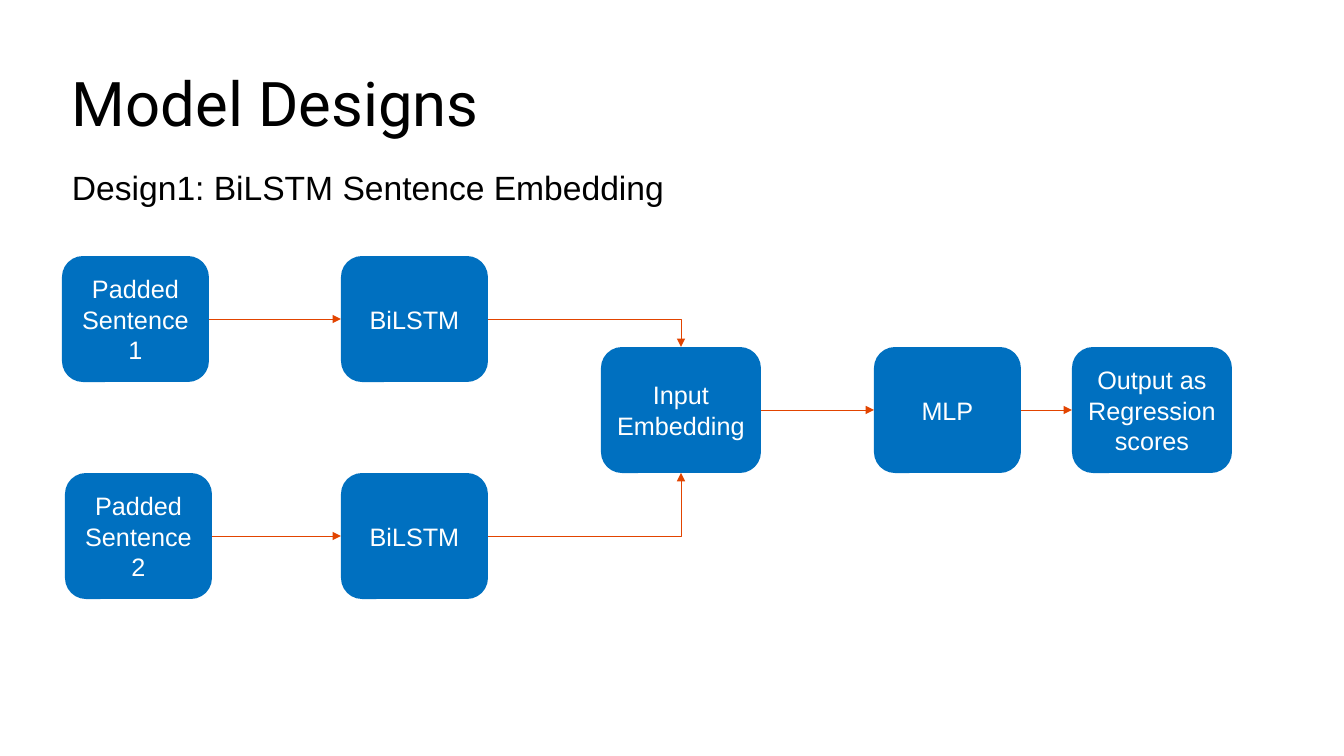
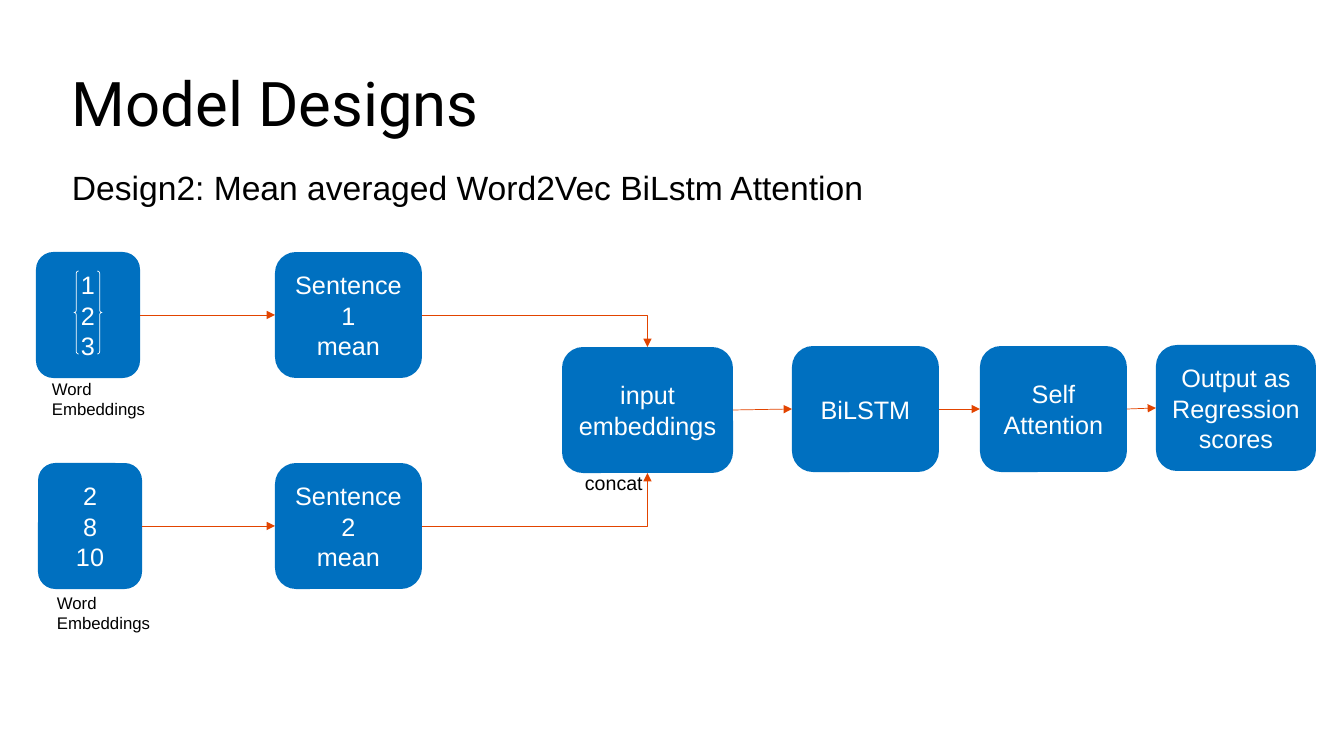
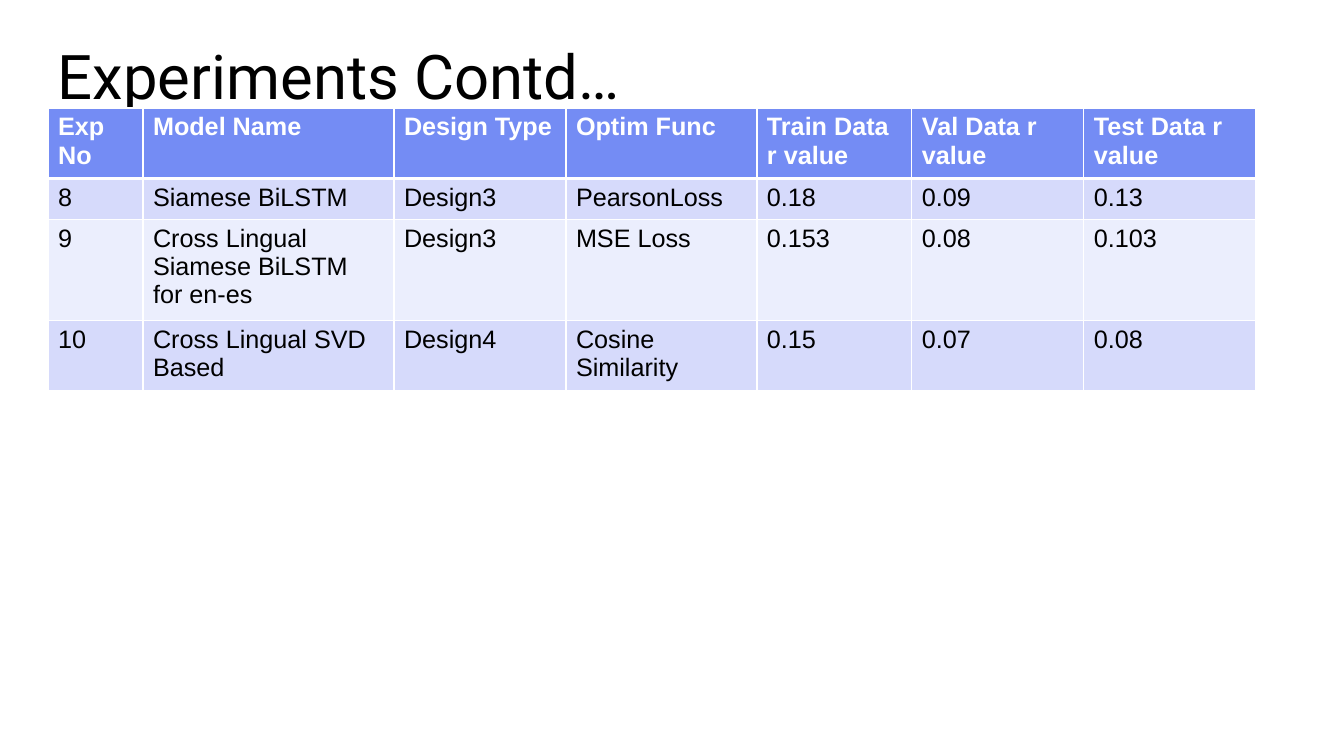
from lxml import etree
from pptx import Presentation
from pptx.dml.color import RGBColor
from pptx.enum.shapes import MSO_CONNECTOR, MSO_SHAPE
from pptx.enum.text import MSO_ANCHOR, PP_ALIGN
from pptx.oxml.ns import qn
from pptx.util import Emu, Pt

SCALE = 914400 / 100.8
STRAIGHT, ELBOW = MSO_CONNECTOR.STRAIGHT, MSO_CONNECTOR.ELBOW
ROUNDED, BRACES = MSO_SHAPE.ROUNDED_RECTANGLE, MSO_SHAPE.DOUBLE_BRACE
TOP, MIDDLE = MSO_ANCHOR.TOP, MSO_ANCHOR.MIDDLE
LEFT, CENTER = PP_ALIGN.LEFT, PP_ALIGN.CENTER
SITE_TOP, SITE_LEFT, SITE_BOTTOM, SITE_RIGHT = range(4)
BODY_FONT, TITLE_FONT = "Arial", "Roboto"
COLORS = {
    "text": "000000",
    "white": "FFFFFF",
    "box": "0070C0",
    "arrow": "E24400",
    "header": "748CF4",
    "odd_row": "D6DAFB",
    "even_row": "EBEEFD",
}
BOX_WIDTH, BOX_HEIGHT, WIDE_BOX = 147, 126, 160
COLUMN_WIDTHS = [95, 251, 172, 191, 155, 172, 172]
ROW_HEIGHT = 41
EXPERIMENTS = [
    ["Exp No", "Model Name", "Design Type", "Optim Func",
     "Train Data r value", "Val Data r value", "Test Data r value"],
    ["8", "Siamese BiLSTM", "Design3", "PearsonLoss", "0.18", "0.09", "0.13"],
    ["9", "Cross Lingual Siamese BiLSTM for en-es", "Design3", "MSE Loss",
     "0.153", "0.08", "0.103"],
    ["10", "Cross Lingual SVD Based", "Design4", "Cosine Similarity",
     "0.15", "0.07", "0.08"],
]


def px(*lengths):
    """Turn pixel lengths into EMU."""
    return [Emu(round(length * SCALE)) for length in lengths]


def color(name):
    """Look up a named colour."""
    return RGBColor.from_string(COLORS[name])


def write(frame, text, size=18, font=BODY_FONT, fill="text", bold=False,
          align=LEFT, anchor=TOP):
    """Write text into a frame, one paragraph for each line."""
    frame.word_wrap = True
    frame.vertical_anchor = anchor
    for index, line in enumerate(text.split("\n")):
        paragraph = frame.add_paragraph() if index else frame.paragraphs[0]
        paragraph.text = line
        paragraph.alignment = align
        for run in paragraph.runs:
            run.font.size = Pt(size)
            run.font.name = font
            run.font.bold = bold
            run.font.color.rgb = color(fill)


def add_text(slide, text, left, top, width, height, inset=5, **text_format):
    """Add a text box with a given top inset."""
    frame = slide.shapes.add_textbox(*px(left, top, width, height)).text_frame
    frame.margin_top, = px(inset)
    write(frame, text, **text_format)


def add_title(slide, text, left, top, width, height):
    """Add the slide title."""
    add_text(slide, text, left, top, width, height, inset=10, size=44,
             font=TITLE_FONT)


def add_box(slide, text, left, top, width=BOX_WIDTH):
    """Add a rounded box of the flow diagram."""
    shape = slide.shapes.add_shape(ROUNDED, *px(left, top, width, BOX_HEIGHT))
    shape.shadow.inherit = False
    shape.fill.solid()
    shape.fill.fore_color.rgb = color("box")
    shape.line.fill.background()
    write(shape.text_frame, text, fill="white", align=CENTER, anchor=MIDDLE)
    return shape


def add_braces(slide, left, top, width, height):
    """Add a pair of thin white braces."""
    shape = slide.shapes.add_shape(BRACES, *px(left, top, width, height))
    shape.shadow.inherit = False
    shape.fill.background()
    shape.line.color.rgb = color("white")
    shape.line.width = Pt(0.5)


def add_arrow(slide, start, end, end_site=SITE_LEFT):
    """Join the right side of one box to another, with one bend if needed."""
    kind = STRAIGHT if end_site == SITE_LEFT else ELBOW
    connector = slide.shapes.add_connector(kind, 0, 0, 0, 0)
    connector.begin_connect(start, SITE_RIGHT)
    connector.end_connect(end, end_site)
    connector.line.color.rgb = color("arrow")
    connector.line.width = Pt(0.5)
    properties = connector.element.spPr
    if kind == ELBOW:
        properties.find(qn("a:prstGeom")).set("prst", "bentConnector2")
    etree.SubElement(properties.find(qn("a:ln")), qn("a:tailEnd"), type="triangle")
    etree.SubElement(properties, qn("a:effectLst"))


def set_borders(cell, bottom):
    """Give a cell white borders, with the bottom width in points."""
    properties = cell._tc.get_or_add_tcPr()
    widths = {"a:lnL": 1, "a:lnR": 1, "a:lnT": 1, "a:lnB": bottom}
    for index, (tag, width) in enumerate(widths.items()):
        line = etree.Element(qn(tag), w=str(Pt(width)))
        fill = etree.SubElement(line, qn("a:solidFill"))
        etree.SubElement(fill, qn("a:srgbClr"), val=COLORS["white"])
        properties.insert(index, line)


def add_table(slide, rows, left, top):
    """Add a table with a header row and banded rows."""
    size = px(left, top, sum(COLUMN_WIDTHS), ROW_HEIGHT * len(rows))
    table = slide.shapes.add_table(len(rows), len(COLUMN_WIDTHS), *size).table
    for column, width in zip(table.columns, px(*COLUMN_WIDTHS)):
        column.width = width
    for row_index, row in enumerate(rows):
        header = row_index == 0
        band = "header" if header else "odd_row" if row_index % 2 else "even_row"
        for column_index, text in enumerate(row):
            cell = table.cell(row_index, column_index)
            cell.fill.solid()
            cell.fill.fore_color.rgb = color(band)
            write(cell.text_frame, text, bold=header,
                  fill="white" if header else "text")
            set_borders(cell, bottom=3 if header else 1)


def add_slide(presentation):
    """Add a blank slide."""
    return presentation.slides.add_slide(presentation.slide_layouts[6])


def add_design_slide(presentation, subtitle):
    """Add a slide with the title and subtitle of a model design."""
    slide = add_slide(presentation)
    add_title(slide, "Model Designs", 62, 55, 1254, 94)
    add_text(slide, subtitle, 62, 159, 1254, 530, inset=8, size=24)
    return slide


def add_chain(slide, boxes):
    """Join boxes from left to right."""
    for start, end in zip(boxes, boxes[1:]):
        add_arrow(slide, start, end)


def build_sentence_embedding(presentation):
    """Build the first design."""
    slide = add_design_slide(presentation, "Design1: BiLSTM Sentence Embedding")
    embedding = add_box(slide, "Input Embedding", 601, 347, WIDE_BOX)
    add_chain(slide, [
        embedding,
        add_box(slide, "MLP", 874, 347),
        add_box(slide, "Output as Regression scores", 1072, 347, WIDE_BOX),
    ])
    branches = [("Padded Sentence1", 62, 256, SITE_TOP),
                ("Padded Sentence2", 65, 473, SITE_BOTTOM)]
    for text, left, top, site in branches:
        sentence = add_box(slide, text, left, top)
        encoder = add_box(slide, "BiLSTM", 341, top)
        add_arrow(slide, sentence, encoder)
        add_arrow(slide, encoder, embedding, site)


def build_mean_attention(presentation):
    """Build the second design."""
    slide = add_design_slide(
        presentation, "Design2: Mean averaged Word2Vec BiLstm Attention")
    embedding = add_box(slide, "input embeddings", 562, 347, 171)
    add_chain(slide, [
        embedding,
        add_box(slide, "BiLSTM", 792, 346),
        add_box(slide, "Self Attention", 980, 346),
        add_box(slide, "Output as Regression scores", 1156, 345, WIDE_BOX),
    ])
    branches = [("1\n2\n3", "Sentence1\vmean", 36, 252, 42, 374, SITE_TOP),
                ("2\n8\n10", "Sentence2\vmean", 38, 463, 47, 588, SITE_BOTTOM)]
    for words, mean, left, top, label_left, label_top, site in branches:
        word_box = add_box(slide, words, left, top, 104)
        mean_box = add_box(slide, mean, 275, top)
        add_arrow(slide, word_box, mean_box)
        add_arrow(slide, mean_box, embedding, site)
        add_text(slide, "Word Embeddings", label_left, label_top, 147, 50, size=12)
    add_braces(slide, 74, 271, 28, 83)
    add_text(slide, "concat", 575, 466, 110, 34, size=14)


def build_experiments(presentation):
    """Build the table of experiments."""
    slide = add_slide(presentation)
    add_title(slide, "Experiments Contd…", 48, 28, 1165, 159)
    add_table(slide, EXPERIMENTS, 48, 108)


def main():
    """Build and save the presentation."""
    presentation = Presentation()
    presentation.slide_width, presentation.slide_height = px(1344, 756)
    build_sentence_embedding(presentation)
    build_mean_attention(presentation)
    build_experiments(presentation)
    presentation.save("out.pptx")


main()
